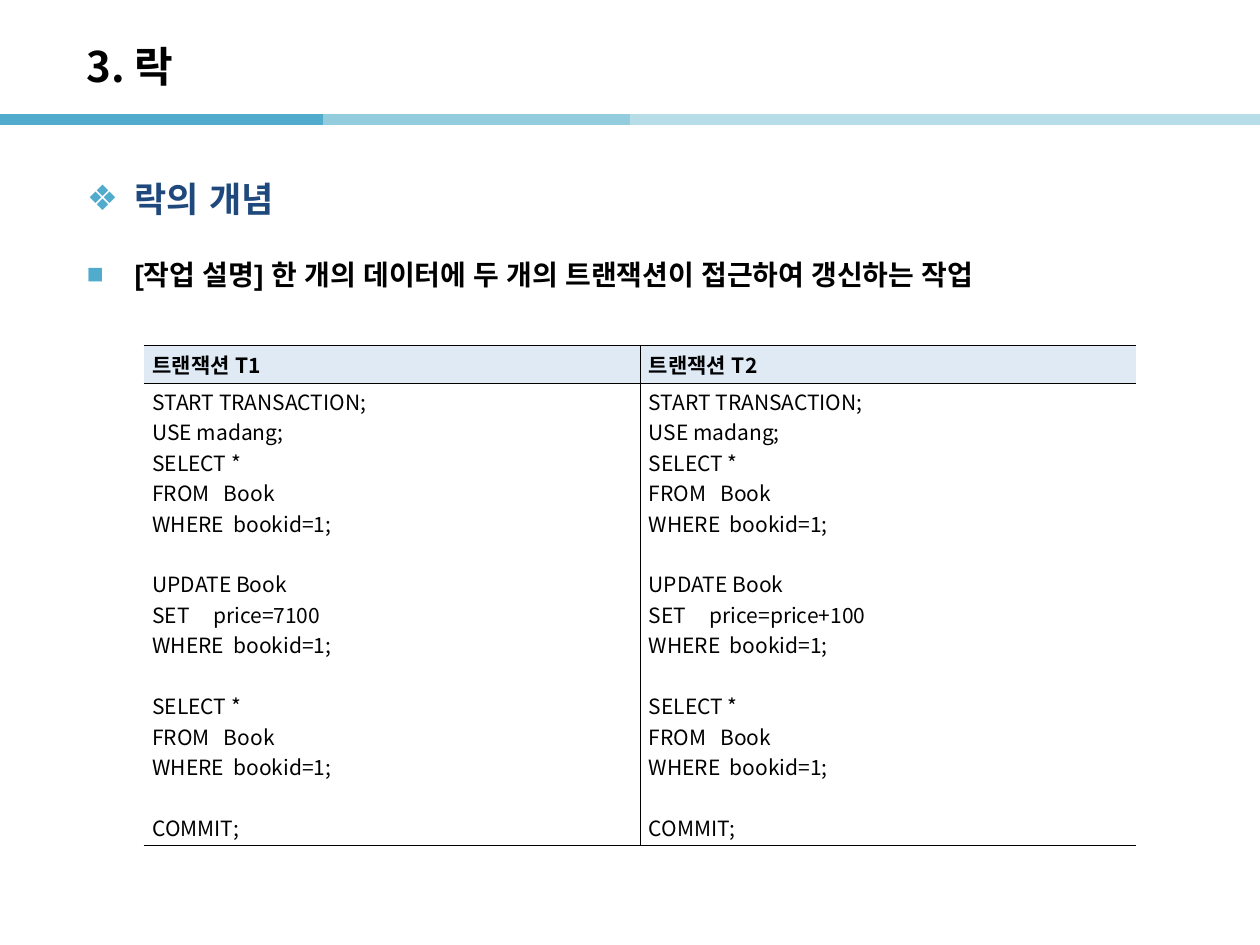
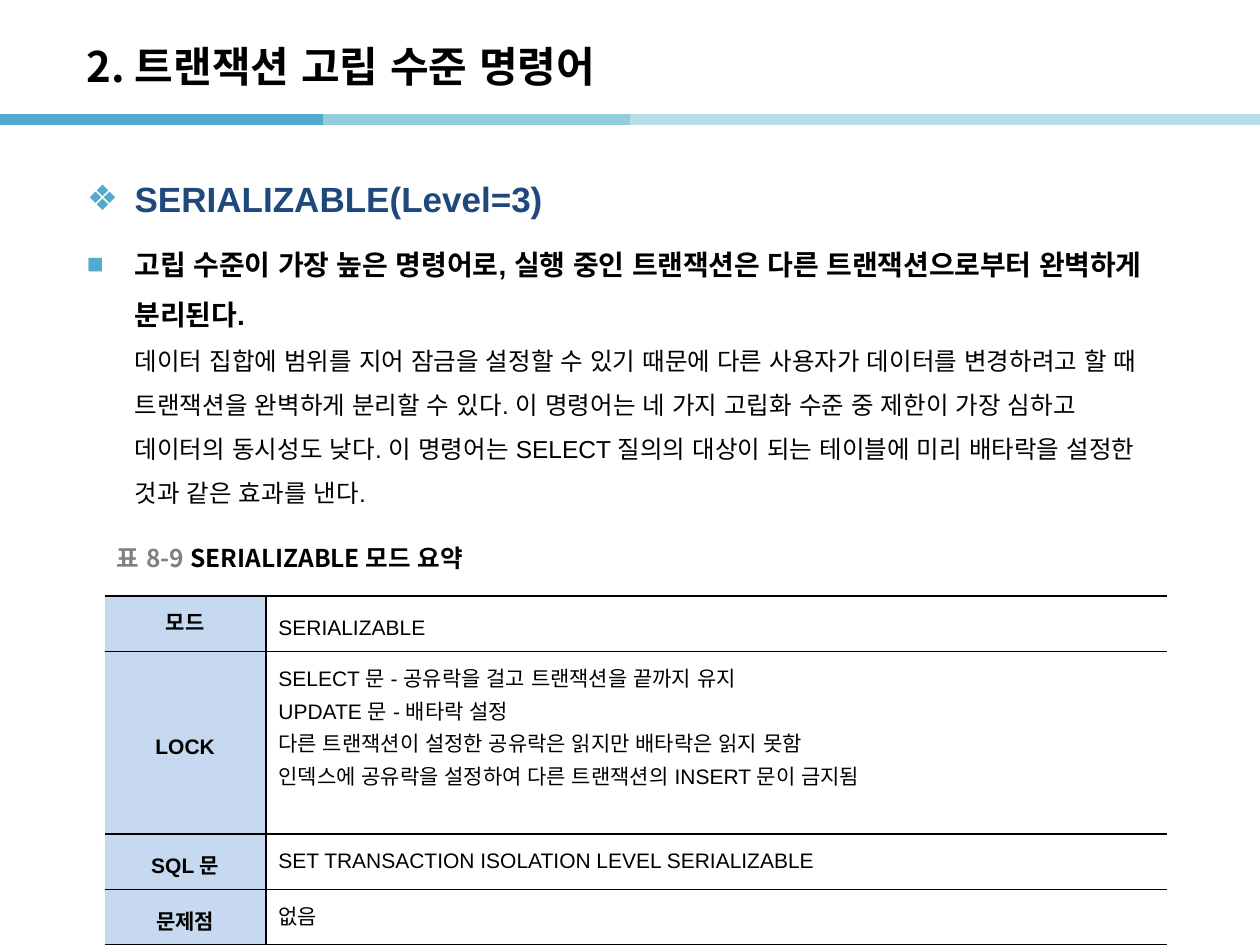
from dataclasses import dataclass

from lxml.etree import SubElement
from pptx import Presentation
from pptx.dml.color import RGBColor
from pptx.enum.shapes import MSO_CONNECTOR
from pptx.enum.text import MSO_ANCHOR, PP_ALIGN
from pptx.oxml import parse_xml
from pptx.oxml.ns import nsdecls, qn
from pptx.util import Inches, Pt

WIDE, HIGH = Inches(10), Inches(7.5)
PLAIN_STYLE = "{2D5ABB26-0587-4C30-8999-92F81FD0307C}"


@dataclass(frozen=True)
class Theme:
    ink: str = "000000"
    gray: str = "808080"
    navy: str = "1F497D"
    teal: str = "50ABCC"
    sky: str = "93CDDD"
    mist: str = "B7DEE8"
    pale: str = "DFEAF5"
    blue: str = "C6D9F1"
    white: str = "FFFFFF"
    latin: str = "Arial"
    hangul: str = "Noto Sans CJK KR"
    title: int = 24
    head: int = 20
    lead: int = 16
    text: int = 14
    cell: int = 12


T = Theme()
CODE = [
    ["START TRANSACTION;", "USE madang;", "SELECT *", "FROM   Book",
     "WHERE  bookid=1;"],
    ["UPDATE Book", "SET     price={price}", "WHERE  bookid=1;"],
    ["SELECT *", "FROM   Book", "WHERE  bookid=1;"],
    ["COMMIT;"],
]
MODES = [
    ("모드", ["SERIALIZABLE"]),
    ("LOCK", ["SELECT 문 - 공유락을 걸고 트랜잭션을 끝까지 유지",
              "UPDATE 문 - 배타락 설정",
              "다른 트랜잭션이 설정한 공유락은 읽지만 배타락은 읽지 못함",
              "인덱스에 공유락을 설정하여 다른 트랜잭션의 INSERT 문이 금지됨"]),
    ("SQL 문", ["SET TRANSACTION ISOLATION LEVEL SERIALIZABLE"]),
    ("문제점", ["없음"]),
]


def share(left, top, width, height):
    """Turn percentages of the slide's size into lengths."""
    return (int(WIDE * left / 100), int(HIGH * top / 100),
            int(WIDE * width / 100), int(HIGH * height / 100))


def mark(para, sign):
    """Give a paragraph a hanging bullet."""
    props = para._p.get_or_add_pPr()
    props.set("marL", str(Inches(0.38)))
    props.set("indent", str(-Inches(0.38)))
    tint = SubElement(props, qn("a:buClr"))
    SubElement(tint, qn("a:srgbClr"), val=T.teal)
    SubElement(props, qn("a:buFont"), typeface=T.latin)
    SubElement(props, qn("a:buChar"), char=sign)


def style(run, size, color=T.ink, bold=False, font=T.latin):
    run.font.size = Pt(size)
    run.font.bold = bold
    run.font.color.rgb = RGBColor.from_string(color)
    run.font.name = font
    SubElement(run._r.get_or_add_rPr(), qn("a:ea"), typeface=T.latin)


def write(frame, lines, align=PP_ALIGN.LEFT, lead=None, sign=None,
          gaps=(), **look):
    """Fill a frame; a line is a string or a list of (text, look) runs.

    A "\\n" run breaks the line. Lines whose index is in gaps get one
    line's height before them.
    """
    for n, line in enumerate(lines):
        para = frame.paragraphs[0] if n == 0 else frame.add_paragraph()
        if sign:
            mark(para, sign)
        para.alignment = align
        if lead:
            para.line_spacing = lead
        if n in gaps:
            para.space_before = Pt(17.4)
        for text, own in [(line, {})] if isinstance(line, str) else line:
            if text == "\n":
                para.add_line_break()
                continue
            run = para.add_run()
            run.text = text
            style(run, **{**look, **own})


def box(slide, area, lines, anchor=MSO_ANCHOR.TOP, **look):
    frame = slide.shapes.add_textbox(*share(*area)).text_frame
    frame.word_wrap = True
    frame.vertical_anchor = anchor
    write(frame, lines, **look)


def bands(slide):
    y = int(HIGH * 0.95 / 7.5)
    tints = (T.teal, T.sky, T.mist, T.mist)
    for left, tint in zip((0, 25.6, 50, 74.4), tints):
        x = int(WIDE * left / 100)
        line = slide.shapes.add_connector(
            MSO_CONNECTOR.STRAIGHT, x, y, x + int(WIDE * 0.256), y)
        line.line.color.rgb = RGBColor.from_string(tint)
        line.line.width = Pt(6)
        SubElement(line._element.spPr, qn("a:effectLst"))


def start(deck, title, head):
    """Add a slide with its bands, title and section heading."""
    slide = deck.slides.add_slide(deck.slide_layouts[5])
    bands(slide)
    name = slide.shapes.title
    name.left, name.top, name.width, name.height = share(5.9, 2.93, 82.7, 8)
    name.text_frame.vertical_anchor = MSO_ANCHOR.MIDDLE
    write(name.text_frame, [title], size=T.title, bold=True, font=T.hangul)
    box(slide, (5.9, 15.87, 88.2, 6.93), [head], align=PP_ALIGN.JUSTIFY,
        lead=1.5, sign="❖", size=T.head, color=T.navy, bold=True)
    return slide


def grid(slide, left, top, cols, rows):
    """Add an unstyled table; cols and rows are lengths in inches."""
    x, y, _, _ = share(left, top, 0, 0)
    table = slide.shapes.add_table(
        len(rows), len(cols), x, y, Inches(sum(cols)), Inches(sum(rows))).table
    table.first_row = table.horz_banding = False
    table._tbl.tblPr.find(qn("a:tableStyleId")).text = PLAIN_STYLE
    for col, width in zip(table.columns, cols):
        col.width = Inches(width)
    for row, height in zip(table.rows, rows):
        row.height = Inches(height)
    return table


def rule(cell, sides, width):
    props = cell._tc.get_or_add_tcPr()
    for n, side in enumerate(sides):
        props.insert(n, parse_xml(
            f'<a:ln{side} {nsdecls("a")} w="{Pt(width)}"><a:solidFill>'
            f'<a:srgbClr val="{T.ink}"/></a:solidFill></a:ln{side}>'))


def fill(table, row, col, lines, tint, width, pad=None,
         anchor=MSO_ANCHOR.MIDDLE, **look):
    """Write, tint and rule one cell of a two-column table."""
    cell = table.cell(row, col)
    cell.vertical_anchor = anchor
    if pad:
        cell.margin_left = cell.margin_right = Inches(pad[0])
        cell.margin_top = cell.margin_bottom = Inches(pad[1])
    cell.fill.solid()
    cell.fill.fore_color.rgb = RGBColor.from_string(tint)
    rule(cell, "LTB" if col else "RTB", width)
    write(cell.text_frame, lines, size=T.cell, **look)


def locks(deck):
    slide = start(deck, "3. 락", "락의 개념")
    box(slide, (5.9, 24.8, 88.2, 70.4),
        ["[작업 설명] 한 개의 데이터에 두 개의 트랜잭션이 접근하여 갱신하는 작업"],
        lead=1.5, sign="■", size=T.lead, bold=True)
    table = grid(slide, 11.4, 36.53, [3.94] * 2, [0.3, 3.67])
    code = [line for block in CODE for line in block]
    gaps = [sum(map(len, CODE[:n])) for n in range(1, len(CODE))]
    look = dict(width=0.28, pad=(0.07, 0.02), align=PP_ALIGN.JUSTIFY,
                font=T.hangul)
    for col, price in enumerate(("7100", "price+100")):
        fill(table, 0, col, [f"트랜잭션 T{col + 1}"], T.pale, bold=True, **look)
        fill(table, 1, col, [line.format(price=price) for line in code],
             T.white, gaps=gaps, **look)


def levels(deck):
    slide = start(deck, "2. 트랜잭션 고립 수준 명령어", "SERIALIZABLE(Level=3)")
    lead = ("고립 수준이 가장 높은 명령어로, 실행 중인 트랜잭션은 "
            "다른 트랜잭션으로부터 완벽하게 분리된다.")
    note = ("데이터 집합에 범위를 지어 잠금을 설정할 수 있기 때문에 다른 사용자가 "
            "데이터를 변경하려고 할 때 트랜잭션을 완벽하게 분리할 수 있다. "
            "이 명령어는 네 가지 고립화 수준 중 제한이 가장 심하고 데이터의 "
            "동시성도 낮다. 이 명령어는 SELECT 질의의 대상이 되는 테이블에 미리 "
            "배타락을 설정한 것과 같은 효과를 낸다.")
    box(slide, (5.9, 23.73, 88.2, 73.47),
        [[(lead, dict(bold=True)), ("\n", {}), (note, dict(size=T.text))]],
        lead=1.5, sign="■", size=T.lead)
    table = grid(slide, 8.3, 63.07, [1.28, 7.15], [0.44, 1.45, 0.44, 0.44])
    for row, (name, lines) in enumerate(MODES):
        top, mid = MSO_ANCHOR.TOP, MSO_ANCHOR.MIDDLE
        fill(table, row, 0, [name], T.blue, 1, lead=1.4, bold=True,
             align=PP_ALIGN.CENTER, anchor=mid if row else top)
        fill(table, row, 1, lines, T.white, 1, lead=1.4,
             anchor=top if row else mid)
    box(slide, (8.3, 56.93, 32, 4.13),
        [[("표 8-9 ", dict(color=T.gray)), ("SERIALIZABLE 모드 요약", {})]],
        anchor=MSO_ANCHOR.MIDDLE, size=T.text, bold=True, font=T.hangul)


def main():
    deck = Presentation()
    deck.slide_width, deck.slide_height = WIDE, HIGH
    locks(deck)
    levels(deck)
    deck.save("out.pptx")


if __name__ == "__main__":
    main()
